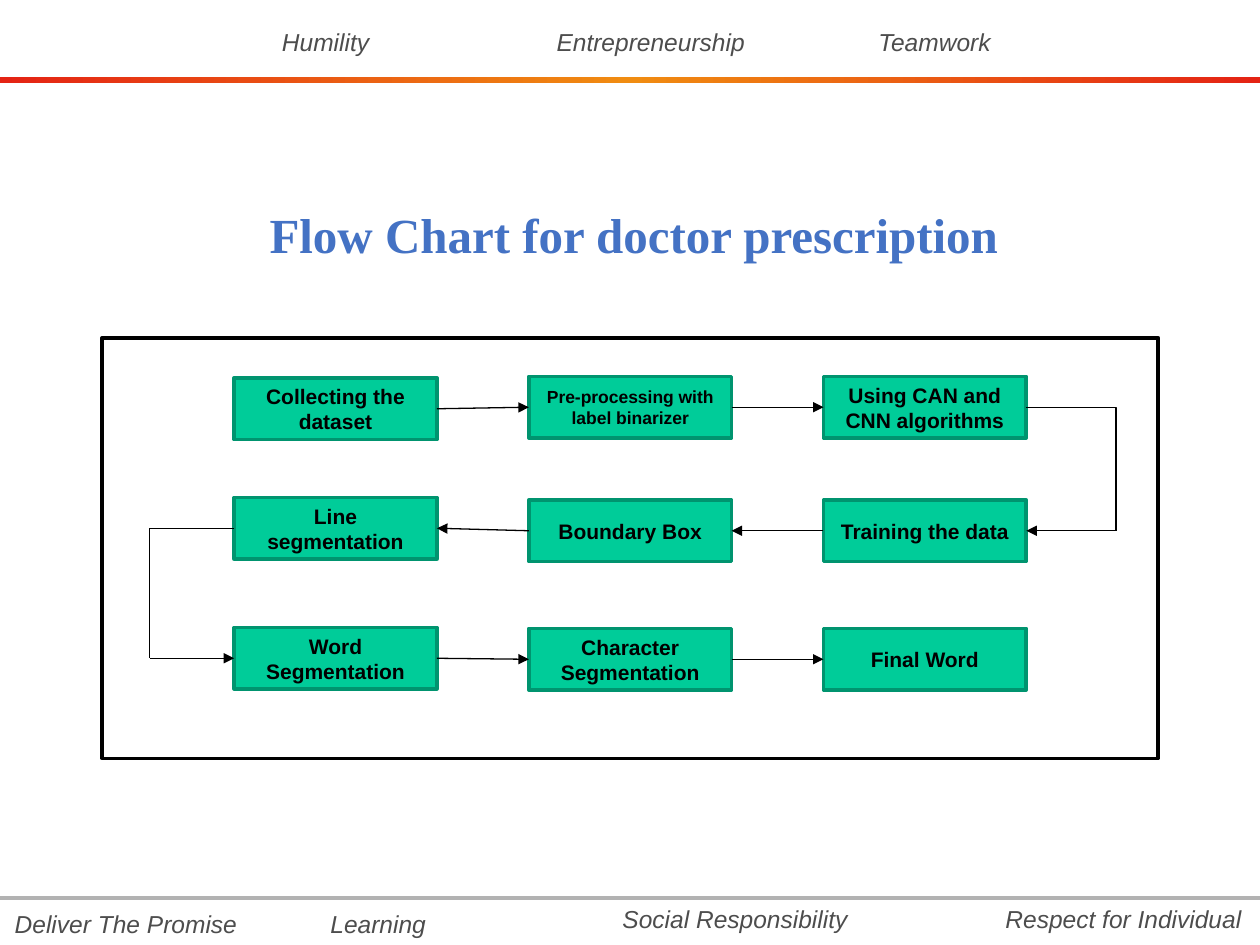
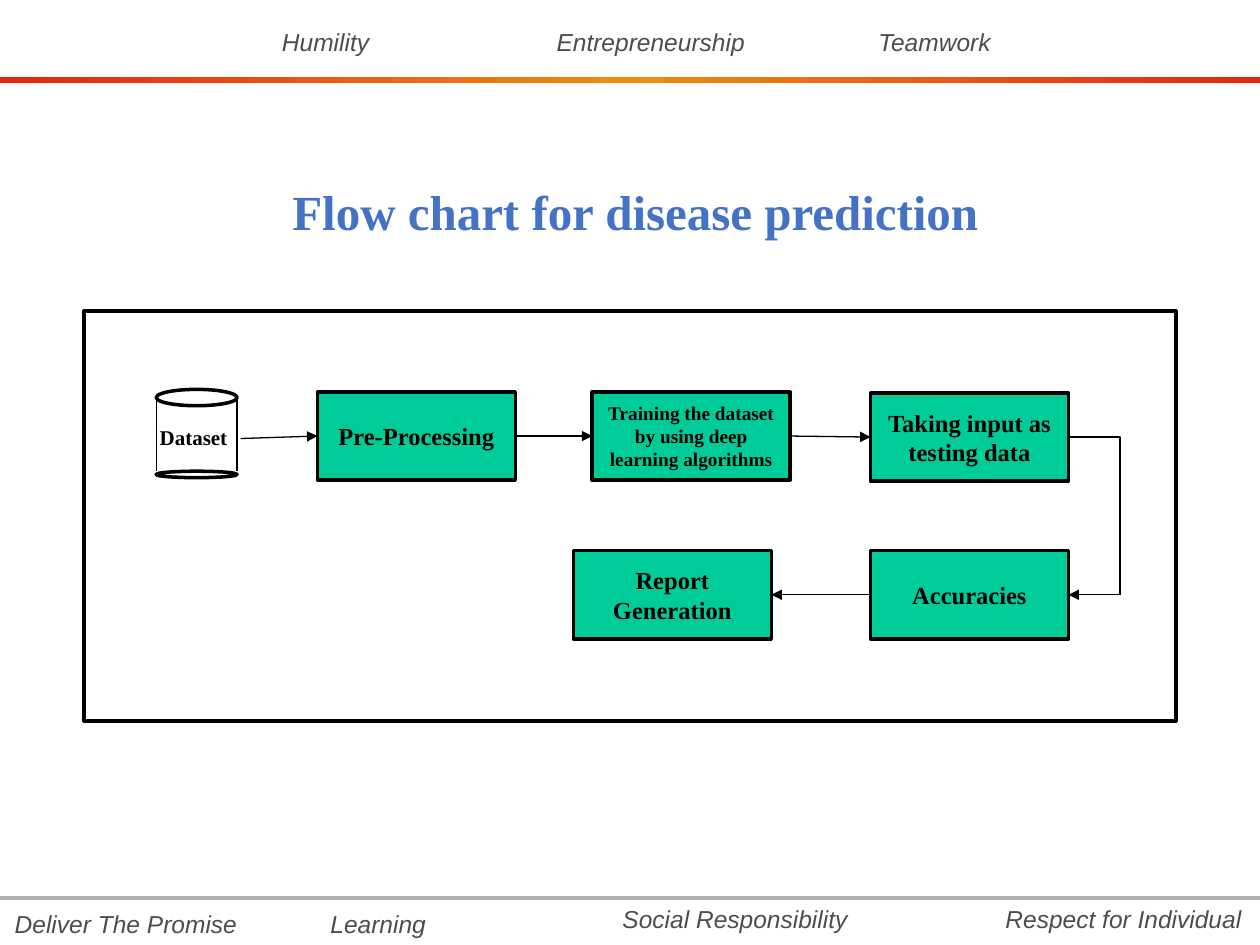
from copy import deepcopy
from dataclasses import dataclass
from itertools import pairwise

from lxml.etree import SubElement
from pptx import Presentation
from pptx.dml.color import RGBColor
from pptx.enum.shapes import MSO_CONNECTOR, MSO_SHAPE
from pptx.enum.text import MSO_ANCHOR, MSO_AUTO_SIZE, PP_ALIGN
from pptx.oxml.ns import qn
from pptx.util import Cm, Pt

COLORS = {
    "text": "000000",
    "title": "4472C4",
    "value": "4D4D4D",
    "band_edge": "E42314",
    "band_middle": "F08C12",
    "footer_rule": "B2B2B2",
    "step": "00CC99",
    "step_border": "00946F",
    "paper": "FFFFFF",
}
SANS, SERIF = "Arial", "Times New Roman"


@dataclass(frozen=True)
class Box:
    left: float
    top: float
    width: float
    height: float

    def lengths(self):
        return Cm(self.left), Cm(self.top), Cm(self.width), Cm(self.height)


@dataclass(frozen=True)
class TextStyle:
    font: str
    size: float
    color: str
    bold: bool = True
    italic: bool = False
    align: PP_ALIGN = PP_ALIGN.CENTER


@dataclass(frozen=True)
class CompanyValue:
    text: str
    box: Box


@dataclass(frozen=True)
class Step:
    text: str
    left: float
    top: float
    size: float
    turn_lane: float | None = None


@dataclass(frozen=True)
class FlowStyle:
    step_width: float
    step_height: float
    font: str
    border: str


VALUE_STYLE = TextStyle(SANS, 14, "value", bold=False, italic=True)
TITLE_STYLE = TextStyle(SERIF, 28, "title", align=PP_ALIGN.LEFT)
DATASET_STYLE = TextStyle(SERIF, 12, "text", align=PP_ALIGN.LEFT)

VALUES = [
    CompanyValue("Humility", Box(4.87, 0.43, 3.39, 0.85)),
    CompanyValue("Entrepreneurship", Box(10.37, 0.43, 5.5, 0.85)),
    CompanyValue("Teamwork", Box(16.09, 0.43, 5.5, 0.85)),
    CompanyValue("Deliver The Promise", Box(0, 18.2, 5.08, 0.85)),
    CompanyValue("Learning", Box(5.93, 18.2, 3.39, 0.85)),
    CompanyValue("Social Responsibility", Box(12.07, 18.1, 5.5, 0.85)),
    CompanyValue("Respect for Individual", Box(19.9, 18.1, 5.5, 0.85)),
]

COLUMNS = [4.72 + 5.94 * column for column in range(3)]
PRESCRIPTION_STYLE = FlowStyle(4.09, 1.24, SANS, "step_border")
PRESCRIPTION_STEPS = [
    Step("Collecting the dataset", COLUMNS[0], 7.62, 12),
    Step("Pre-processing with label binarizer", COLUMNS[1], 7.59, 10),
    Step("Using CAN and CNN algorithms", COLUMNS[2], 7.59, 12, turn_lane=22.5),
    Step("Training the data", COLUMNS[2], 10.08, 12),
    Step("Boundary Box", COLUMNS[1], 10.08, 12),
    Step("Line segmentation", COLUMNS[0], 10.03, 12, turn_lane=3.02),
    Step("Word Segmentation", COLUMNS[0], 12.65, 12),
    Step("Character Segmentation", COLUMNS[1], 12.67, 12),
    Step("Final Word", COLUMNS[2], 12.67, 12),
]

DISEASE_STYLE = FlowStyle(3.99, 1.78, SERIF, "text")
DISEASE_STEPS = [
    Step("Pre-Processing", 6.4, 7.9, 14),
    Step("Training the dataset by using deep learning algorithms", 11.94, 7.9, 11),
    Step("Taking input as testing data", 17.55, 7.92, 14, turn_lane=22.58),
    Step("Accuracies", 17.55, 11.1, 14),
    Step("Report\nGeneration", 11.56, 11.1, 14),
]


def rgb(color: str) -> RGBColor:
    return RGBColor.from_string(COLORS[color])


def write(frame, text: str, style: TextStyle, anchor=MSO_ANCHOR.TOP) -> None:
    frame.word_wrap = True
    frame.auto_size = MSO_AUTO_SIZE.NONE
    frame.vertical_anchor = anchor
    for index, line in enumerate(text.split("\n")):
        paragraph = frame.add_paragraph() if index else frame.paragraphs[0]
        paragraph.alignment = style.align
        run = paragraph.add_run()
        run.text = line
        run.font.name = style.font
        run.font.size = Pt(style.size)
        run.font.bold = style.bold
        run.font.italic = style.italic
        run.font.color.rgb = rgb(style.color)


def add_label(slide, text: str, box: Box, style: TextStyle) -> None:
    write(slide.shapes.add_textbox(*box.lengths()).text_frame, text, style)


def add_outlined(slide, preset, box: Box, fill: str | None, border: str, weight=2.0):
    shape = slide.shapes.add_shape(preset, *box.lengths())
    shape.shadow.inherit = False
    if fill:
        shape.fill.solid()
        shape.fill.fore_color.rgb = rgb(fill)
    else:
        shape.fill.background()
    shape.line.color.rgb = rgb(border)
    shape.line.width = Pt(weight)
    return shape


def add_line(slide, start, end, color="text", weight=0.75, arrow=False, bent=False):
    kind = MSO_CONNECTOR.ELBOW if bent else MSO_CONNECTOR.STRAIGHT
    line = slide.shapes.add_connector(kind, *map(Cm, (*start, *end)))
    line.line.color.rgb = rgb(color)
    line.line.width = Pt(weight)
    properties = line._element.spPr
    if bent:
        properties.find(qn("a:prstGeom")).set("prst", "bentConnector2")
    if arrow:
        SubElement(properties.find(qn("a:ln")), qn("a:tailEnd"), type="triangle")
    SubElement(properties, qn("a:effectLst"))


def add_gradient_band(slide) -> None:
    band = slide.shapes.add_shape(MSO_SHAPE.RECTANGLE, *Box(0, 1.55, 25.4, 0.13).lengths())
    band.shadow.inherit = False
    band.line.fill.background()
    band.fill.gradient()
    band.fill.gradient_angle = 0
    stops = band._element.spPr.find(".//" + qn("a:gsLst"))
    stops.append(deepcopy(stops[0]))
    colors = ("band_edge", "band_middle", "band_edge")
    for index, (stop, color) in enumerate(zip(band.fill.gradient_stops, colors)):
        stop.position = index / 2
        stop.color.rgb = rgb(color)


def start_slide(deck, title: str, title_box: Box):
    slide = deck.slides.add_slide(deck.slide_layouts[5])
    for value in VALUES:
        add_label(slide, value.text, value.box, VALUE_STYLE)
    add_gradient_band(slide)
    add_line(slide, (0, 18.1), (25.4, 18.1), "footer_rule", 2)
    heading = slide.shapes.title
    heading.left, heading.top, heading.width, heading.height = title_box.lengths()
    write(heading.text_frame, title, TITLE_STYLE)
    return slide


def edge(step: Step, style: FlowStyle, right: bool) -> tuple[float, float]:
    return step.left + style.step_width * right, step.top + style.step_height / 2


def connect(slide, source: Step, target: Step, style: FlowStyle) -> None:
    lane = source.turn_lane
    if lane is None:
        forward = target.left > source.left
        start, end = edge(source, style, forward), edge(target, style, not forward)
    else:
        right = lane > source.left
        end = edge(target, style, right)
        start = lane, end[1]
        add_line(slide, edge(source, style, right), start, bent=True)
    add_line(slide, start, end, arrow=True)


def draw_flow(slide, steps: list[Step], style: FlowStyle) -> None:
    for step in steps:
        box = Box(step.left, step.top, style.step_width, style.step_height)
        shape = add_outlined(slide, MSO_SHAPE.RECTANGLE, box, "step", style.border)
        write(shape.text_frame, step.text, TextStyle(style.font, step.size, "text"), MSO_ANCHOR.MIDDLE)
    for source, target in pairwise(steps):
        connect(slide, source, target, style)


def draw_dataset(slide) -> None:
    left, width, top, bottom = 3.15, 1.63, 8.03, 9.5
    for side in (left, left + width):
        add_line(slide, (side, top), (side, bottom))
    for box in (Box(left, 7.85, width, 0.33), Box(left, bottom, width, 0.13)):
        add_outlined(slide, MSO_SHAPE.OVAL, box, "paper", "text")
    add_label(slide, "Dataset", Box(2.97, 8.43, 1.88, 0.81), DATASET_STYLE)
    add_line(slide, (4.85, 8.84), edge(DISEASE_STEPS[0], DISEASE_STYLE, False), arrow=True)


def main() -> None:
    deck = Presentation()
    deck.slide_width, deck.slide_height = Cm(25.4), Cm(19.05)

    prescription = start_slide(deck, "Flow Chart for doctor prescription", Box(5.18, 3.99, 17.37, 2.06))
    draw_flow(prescription, PRESCRIPTION_STEPS, PRESCRIPTION_STYLE)
    add_outlined(prescription, MSO_SHAPE.RECTANGLE, Box(2.06, 6.81, 21.29, 8.48), None, "text")

    disease = start_slide(deck, "Flow chart for disease prediction", Box(5.64, 3.53, 17.45, 1.45))
    draw_dataset(disease)
    draw_flow(disease, DISEASE_STEPS, DISEASE_STYLE)
    add_outlined(disease, MSO_SHAPE.RECTANGLE, Box(1.7, 6.27, 22, 8.26), None, "text", 2.25)

    deck.save("out.pptx")


if __name__ == "__main__":
    main()
